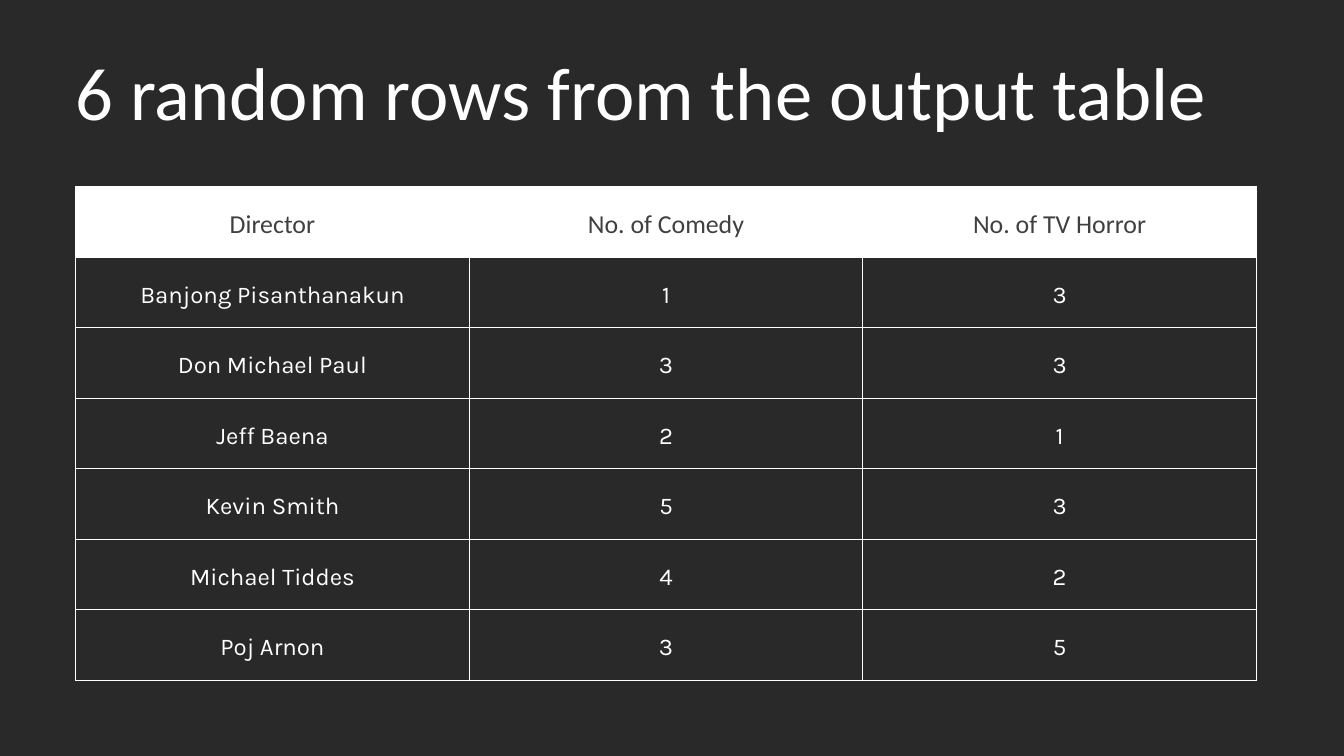
from dataclasses import dataclass

from lxml.etree import SubElement
from pptx import Presentation
from pptx.dml.color import RGBColor
from pptx.enum.text import MSO_ANCHOR, MSO_AUTO_SIZE, PP_ALIGN
from pptx.oxml.ns import qn
from pptx.util import Pt


@dataclass(frozen=True)
class Theme:
    back: str = "292929"
    light: str = "FFFFFF"
    dark: str = "404040"
    head: str = "Calibri"
    body: str = "Karla"
    title: float = 80
    label: float = 27.7
    cell: float = 25.7
    rule: float = 1.5


THEME = Theme()
SCALE = 9525  # EMU in one px, 96 px to the inch
PAD = 20

ROWS = [
    ("Director", "No. of Comedy", "No. of TV Horror"),
    ("Banjong Pisanthanakun", "1", "3"),
    ("Don Michael Paul", "3", "3"),
    ("Jeff Baena", "2", "1"),
    ("Kevin Smith", "5", "3"),
    ("Michael Tiddes", "4", "2"),
    ("Poj Arnon", "3", "5"),
]


def px(count):
    return round(count * SCALE)


def write(frame, text, *, size, font, color, lead, align=PP_ALIGN.LEFT):
    para = frame.paragraphs[0]
    para.alignment = align
    para.line_spacing = Pt(lead)
    run = para.add_run()
    run.text = text
    run.font.size = Pt(size)
    run.font.name = font
    run.font.color.rgb = RGBColor.from_string(color)


def border(cell):
    """Rule all four sides of a cell; lines must come before its fill."""
    props = cell._tc.get_or_add_tcPr()
    for spot, side in enumerate(("lnL", "lnR", "lnT", "lnB")):
        line = SubElement(props, qn(f"a:{side}"), w=str(Pt(THEME.rule)))
        fill = SubElement(line, qn("a:solidFill"))
        SubElement(fill, qn("a:srgbClr"), val=THEME.light)
        props.insert(spot, line)


def add_title(slide, box, text):
    title = slide.shapes.title
    title.left, title.top, title.width, title.height = map(px, box)
    frame = title.text_frame
    frame.margin_left = frame.margin_right = 0
    frame.margin_top = frame.margin_bottom = 0
    frame.vertical_anchor = MSO_ANCHOR.TOP
    frame.word_wrap = True
    frame.auto_size = MSO_AUTO_SIZE.SHAPE_TO_FIT_TEXT
    write(frame, text, size=THEME.title, font=THEME.head,
          color=THEME.light, lead=96)


def fill_cell(cell, text, header):
    cell.margin_left = cell.margin_right = px(PAD)
    cell.margin_top = cell.margin_bottom = px(PAD)
    cell.vertical_anchor = MSO_ANCHOR.MIDDLE
    if header:
        cell.fill.solid()
        cell.fill.fore_color.rgb = RGBColor.from_string(THEME.light)
        style = dict(size=THEME.label, font=THEME.head,
                     color=THEME.dark, lead=38.8)
    else:
        cell.fill.background()
        style = dict(size=THEME.cell, font=THEME.body,
                     color=THEME.light, lead=36)
    write(cell.text_frame, text, align=PP_ALIGN.CENTER, **style)
    border(cell)


def add_grid(slide, box, rows):
    """Add a table of equal rows and columns, its first row a header."""
    frame = slide.shapes.add_table(len(rows), len(rows[0]), *map(px, box))
    table = frame.table
    table.first_row = table.horz_banding = False
    for column in table.columns:
        column.width = px(box[2] / len(rows[0]))
    for top, values in enumerate(rows):
        table.rows[top].height = px(box[3] / len(rows))
        for left, text in enumerate(values):
            fill_cell(table.cell(top, left), text, header=top == 0)


def main():
    deck = Presentation()
    deck.slide_width, deck.slide_height = px(1920), px(1080)
    slide = deck.slides.add_slide(deck.slide_layouts[5])
    slide.background.fill.solid()
    slide.background.fill.fore_color.rgb = RGBColor.from_string(THEME.back)
    add_title(slide, (108, 65, 1764, 129),
              "6 random rows from the output table")
    add_grid(slide, (108, 267, 1687, 705), ROWS)
    deck.save("out.pptx")


if __name__ == "__main__":
    main()
